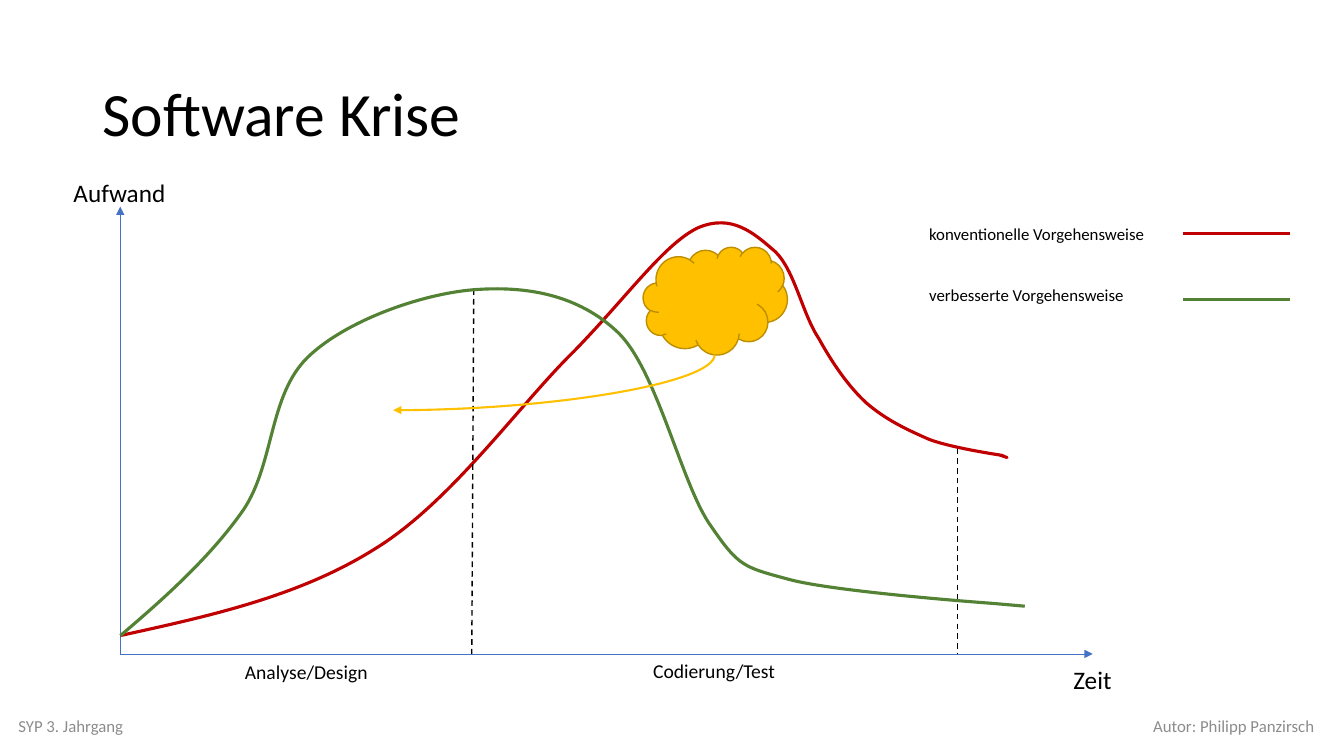
from dataclasses import dataclass
from lxml.etree import SubElement
from pptx import Presentation
from pptx.dml.color import RGBColor
from pptx.enum.dml import MSO_LINE
from pptx.enum.shapes import MSO_CONNECTOR as LINK, MSO_SHAPE as SHAPE
from pptx.enum.text import MSO_ANCHOR as ANCHOR, MSO_AUTO_SIZE as FIT, PP_ALIGN as ALIGN
from pptx.oxml.ns import qn
from pptx.util import Pt


@dataclass(frozen=True)
class Theme:
    font: str = "Calibri"
    black: str = "000000"
    gray: str = "8C8C8C"
    blue: str = "4472C4"
    red: str = "C00000"
    green: str = "548235"
    gold: str = "FFC000"
    brown: str = "BD8E00"
    title: int = 44
    axis: int = 18
    phase: int = 14
    small: int = 12
    thin: float = 0.5
    rim: float = 1
    arrow: float = 1.5
    thick: float = 2.25


T = Theme()
TITLE = "Software Krise"
FOOT = [("SYP 3. Jahrgang", 6, ALIGN.LEFT),
        ("Autor: Philipp Panzirsch", 622, ALIGN.RIGHT)]
# text, left, top, width, height, size
LABELS = [("Aufwand", 45.4, 123, 80.6, 29, T.axis),
          ("Zeit", 759.6, 471, 41.8, 29, T.axis),
          ("Analyse/Design", 167.8, 468, 103.7, 24.5, T.phase),
          ("Codierung/Test", 459.4, 467, 103, 24.5, T.phase)]
LEGEND = [("konventionelle Vorgehensweise", T.red, 167),
          ("verbesserte Vorgehensweise", T.green, 213.8)]
ZERO, TOP, END = (85.9, 467.1), (85.9, 147.6), (780.5, 467.1)
PHASES = [(338.4, 206.6, 337), (684, 320.4, 684)]  # top x, top y, foot x
CLOUD = (459.4, 176.4, 103, 77)
SHIFT = (510.5, 253.4), (280.8, 293)
# start point, then two handles and an end point for each bend
USUAL = [(85.7, 453.6),
         (149.8, 439.9), (213.8, 426.2), (267.8, 392.4),
         (321.8, 358.6), (371.5, 288), (409.7, 250.6),
         (447.8, 212.4), (474.5, 175), (498.2, 163.4),
         (522.7, 151.9), (539.3, 167), (553.7, 180),
         (568.1, 193.7), (573.1, 223.9), (584.6, 241.9),
         (595.4, 259.9), (606.2, 275.8), (619.2, 288),
         (632.9, 300.2), (648, 307.4), (663.8, 313.9),
         (679.7, 320.4), (714.2, 325.4), (714.2, 325.4),
         (722.9, 327.6), (719.3, 326.9), (715, 325.4)]
BETTER = [(86.4, 454.3),
          (118.8, 426.2), (151.2, 397.4), (173.5, 364.3),
          (195.8, 331.2), (192.2, 281.5), (219.6, 254.9),
          (247, 229), (301, 209.5), (338.4, 206.6),
          (375.1, 203.8), (413.3, 209.5), (442.1, 237.6),
          (470.2, 265.7), (487.4, 347), (508.3, 375.8),
          (528.5, 405.4), (531.4, 404.6), (564.5, 414),
          (598.3, 422.6), (709.2, 430.6), (709.2, 430.6),
          (709.2, 430.6), (732.2, 433.4), (732.2, 433.4)]


def tint(hue):
    return RGBColor.from_string(hue)


def stroke(item, hue, width):
    item.line.color.rgb = tint(hue)
    item.line.width = Pt(width)


def write(para, text, size, hue):
    run = para.add_run()
    run.text = text
    run.font.name = T.font
    run.font.size = Pt(size)
    run.font.color.rgb = tint(hue)


def add_box(slide, place, wrap=False):
    frame = slide.shapes.add_textbox(*map(Pt, place)).text_frame
    frame.word_wrap = wrap
    frame.auto_size = FIT.NONE if wrap else FIT.SHAPE_TO_FIT_TEXT
    return frame


def add_line(slide, start, end, hue, width, kind=LINK.STRAIGHT, head=False):
    line = slide.shapes.add_connector(kind, *map(Pt, (*start, *end)))
    stroke(line, hue, width)
    if head:
        SubElement(line.line._get_or_add_ln(), qn("a:tailEnd"), type="triangle")
    SubElement(line._element.spPr, qn("a:effectLst"))
    return line


def add_curve(slide, points, hue):
    """Draw a freeform, then join each three line steps into one bend."""
    build = slide.shapes.build_freeform(*points[0], scale=Pt(1))
    build.add_line_segments(points[1:], close=False)
    curve = build.convert_to_shape()
    curve.shadow.inherit = False
    curve.fill.background()
    stroke(curve, hue, T.thick)
    trace = next(curve._element.iter(qn("a:path")))
    steps = trace.findall(qn("a:lnTo"))
    for i in range(0, len(steps), 3):
        bend = SubElement(trace, qn("a:cubicBezTo"))
        for step in steps[i:i + 3]:
            bend.append(step[0])
            trace.remove(step)


def add_shift(slide, start, end):
    """Draw a quarter bend that leaves downwards and arrives leftwards."""
    mid_x, mid_y = (start[0] + end[0]) / 2, (start[1] + end[1]) / 2
    half_w, half_h = (end[1] - start[1]) / 2, (start[0] - end[0]) / 2
    line = add_line(slide, (mid_x - half_w, mid_y - half_h),
                    (mid_x + half_w, mid_y + half_h),
                    T.gold, T.arrow, LINK.CURVE, True)
    form = line._element.spPr
    form.find(qn("a:xfrm")).set("rot", "5400000")
    form.find(qn("a:prstGeom")).set("prst", "curvedConnector2")


def main():
    deck = Presentation()
    deck.slide_width, deck.slide_height = Pt(960), Pt(540)
    slide = deck.slides.add_slide(deck.slide_layouts[5])

    title = slide.shapes.title
    title.left, title.top, title.width, title.height = map(Pt, (66, 31, 828, 104.4))
    title.text_frame.vertical_anchor = ANCHOR.MIDDLE
    para = title.text_frame.paragraphs[0]
    para.alignment, para.line_spacing = ALIGN.LEFT, 0.9
    write(para, TITLE, T.title, T.black)

    for text, left, side in FOOT:
        frame = add_box(slide, (left, 504, 324, 28.8), True)
        frame.vertical_anchor = ANCHOR.MIDDLE
        frame.paragraphs[0].alignment = side
        write(frame.paragraphs[0], text, T.small, T.gray)

    for tip in (TOP, END):
        add_line(slide, ZERO, tip, T.blue, T.thin, head=True)
    for text, *place, size in LABELS:
        write(add_box(slide, place).paragraphs[0], text, size, T.black)

    add_curve(slide, USUAL, T.red)
    for x, y, foot in PHASES:
        mark = add_line(slide, (x, y), (foot, ZERO[1]), T.black, T.rim)
        mark.line.dash_style = MSO_LINE.DASH
    add_curve(slide, BETTER, T.green)

    cloud = slide.shapes.add_shape(SHAPE.CLOUD, *map(Pt, CLOUD))
    cloud.shadow.inherit = False
    cloud.fill.solid()
    cloud.fill.fore_color.rgb = tint(T.gold)
    stroke(cloud, T.brown, T.rim)
    add_shift(slide, *SHIFT)

    frame = add_box(slide, (656.6, 156.2, 170, 80))
    for i, (text, hue, y) in enumerate(LEGEND):
        para = frame.add_paragraph() if i else frame.paragraphs[0]
        if i:
            para.space_before = Pt(29)
        write(para, text, T.small, T.black)
        add_line(slide, (845.3, y), (921.6, y), hue, T.thick)

    deck.save("out.pptx")


if __name__ == "__main__":
    main()
